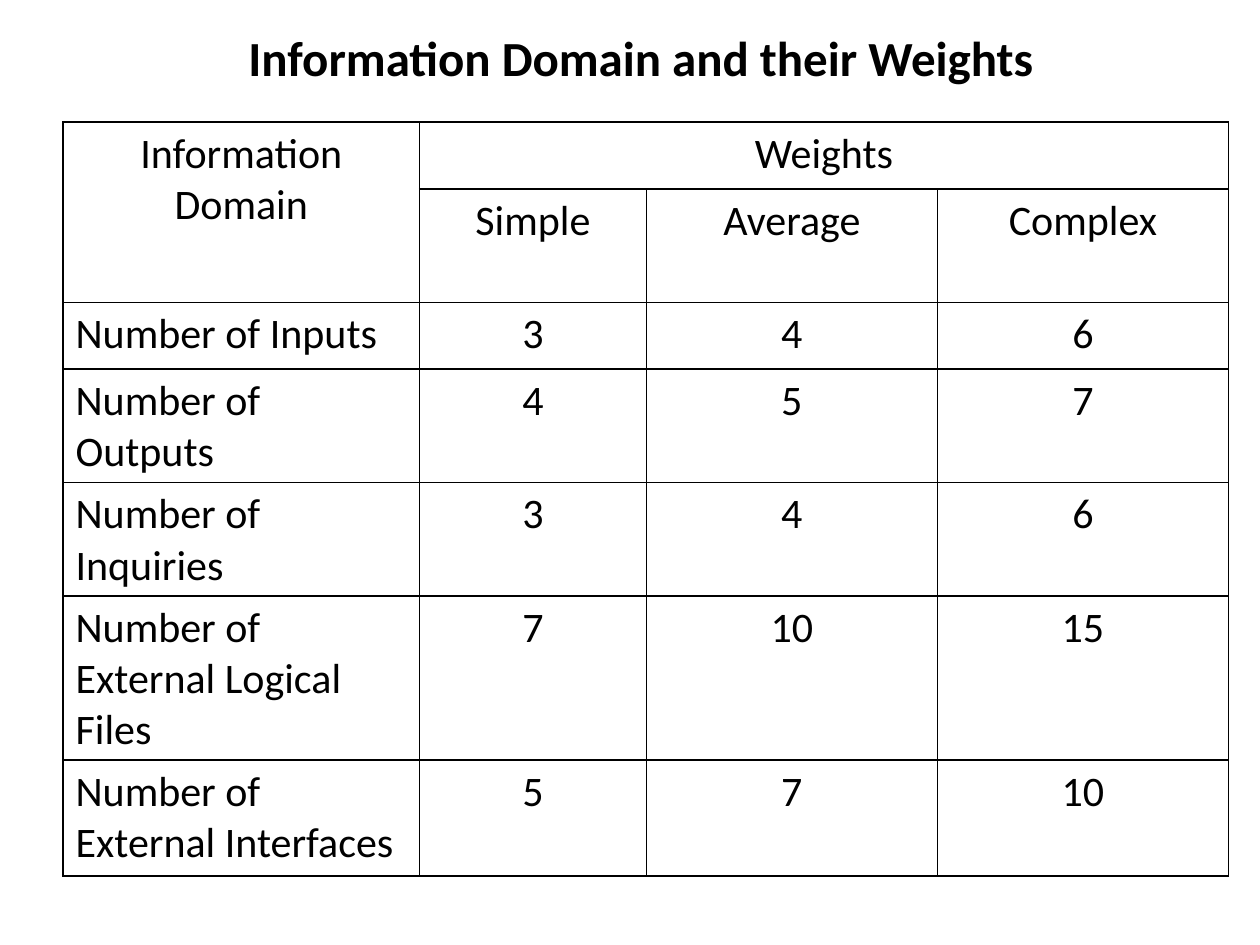
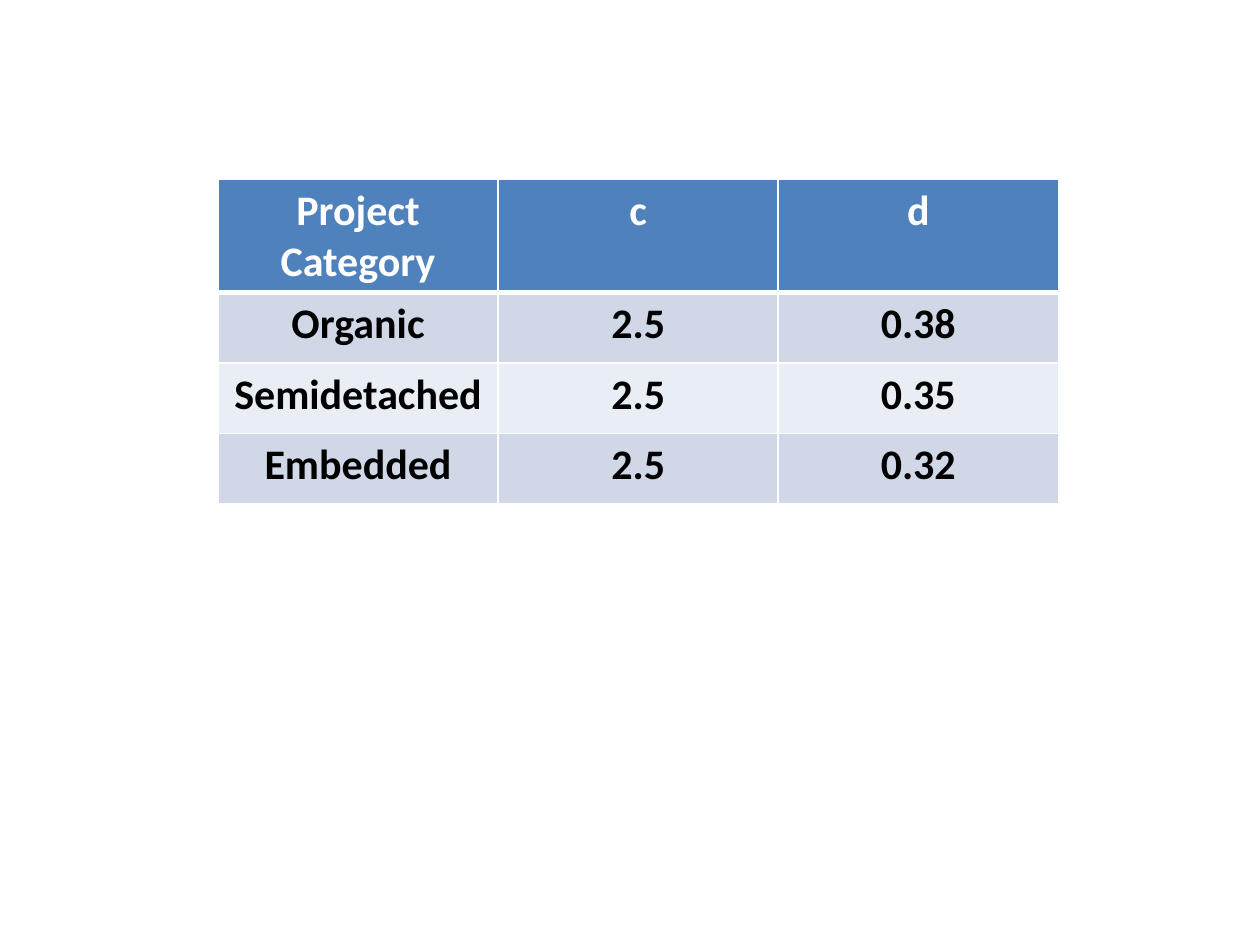
from lxml import etree
from pptx import Presentation
from pptx import util as u
from pptx.dml.color import RGBColor
from pptx.enum import text
from pptx.oxml import ns

FONT = "Calibri"
BLACK, WHITE = "000000", "FFFFFF"
HEADER_BLUE, BAND_DARK, BAND_LIGHT = "4F81BD", "D0D8E8", "E9EDF4"
TITLE_ONLY, BLANK = 5, 6

WEIGHT_ROWS = [
    ["Information Domain", "Weights", "", ""],
    ["", "Simple", "Average", "Complex"],
    ["Number of Inputs", "3", "4", "6"],
    ["Number of Outputs", "4", "5", "7"],
    ["Number of Inquiries", "3", "4", "6"],
    ["Number of External Logical Files", "7", "10", "15"],
    ["Number of External Interfaces", "5", "7", "10"],
]
CATEGORY_ROWS = [
    ["Project Category", "c", "d"],
    ["Organic", "2.5", "0.38"],
    ["Semidetached", "2.5", "0.35"],
    ["Embedded", "2.5", "0.32"],
]


def rgb(value):
    """Turn a hex string into a colour."""
    return RGBColor.from_string(value)


def write(frame, content, size=24, color=BLACK, bold=False, centred=True):
    """Put one formatted paragraph into a text frame."""
    paragraph = frame.paragraphs[0]
    paragraph.alignment = text.PP_ALIGN.CENTER if centred else text.PP_ALIGN.LEFT
    run = paragraph.add_run()
    run.text = content
    run.font.name = FONT
    run.font.size = u.Pt(size)
    run.font.bold = bold
    run.font.color.rgb = rgb(color)


def set_borders(cell, color, bottom=1):
    """Draw 1 pt borders around a cell, with its own bottom width."""
    properties = cell._tc.get_or_add_tcPr()
    for side, width in (("L", 1), ("R", 1), ("T", 1), ("B", bottom)):
        line = etree.SubElement(properties, ns.qn(f"a:ln{side}"), w=str(u.Pt(width)))
        fill = etree.SubElement(line, ns.qn("a:solidFill"))
        etree.SubElement(fill, ns.qn("a:srgbClr"), val=color)


def add_grid(slide, box, widths, heights):
    """Add an unstyled table with the given column widths and row heights."""
    frame = slide.shapes.add_table(len(heights), len(widths), *map(u.Inches, box))
    table = frame.table
    table.first_row = table.horz_banding = False
    for column, width in zip(table.columns, widths):
        column.width = u.Inches(width)
    for row, height in zip(table.rows, heights):
        row.height = u.Inches(height)
    frame.height = u.Inches(box[3])
    return table


def add_title(slide, box, content):
    """Place and fill the title placeholder."""
    title = slide.shapes.title
    title.left, title.top, title.width, title.height = map(u.Inches, box)
    frame = title.text_frame
    frame.word_wrap = True
    frame.auto_size = text.MSO_AUTO_SIZE.SHAPE_TO_FIT_TEXT
    frame.vertical_anchor = text.MSO_ANCHOR.TOP
    write(frame, content, size=28, bold=True)


def add_weights_table(slide, box):
    """Add the ruled table with its two merged heading cells."""
    heights = [0.53] * 5 + [0.92] * 2
    table = add_grid(slide, box, [2.83, 1.8, 2.31, 2.31], heights)
    for row, values in enumerate(WEIGHT_ROWS):
        for column, value in enumerate(values):
            cell = table.cell(row, column)
            set_borders(cell, BLACK)
            cell.fill.background()
            if value:
                write(cell.text_frame, value, centred=row < 2 or column > 0)
    table.cell(0, 0).merge(table.cell(1, 0))
    table.cell(0, 1).merge(table.cell(0, 3))


def add_category_table(slide, box):
    """Add the banded table of project categories."""
    table = add_grid(slide, box, [box[2] / 3] * 3, [0.55] + [0.56] * 3)
    for row, values in enumerate(CATEGORY_ROWS):
        header = row == 0
        band = HEADER_BLUE if header else (BAND_LIGHT, BAND_DARK)[row % 2]
        for column, value in enumerate(values):
            cell = table.cell(row, column)
            set_borders(cell, WHITE, bottom=3 if header else 1)
            cell.fill.solid()
            cell.fill.fore_color.rgb = rgb(band)
            write(cell.text_frame, value, bold=True, color=WHITE if header else BLACK)


def add_slide(presentation, layout):
    """Add a white slide with the given layout."""
    slide = presentation.slides.add_slide(presentation.slide_layouts[layout])
    slide.background.fill.solid()
    slide.background.fill.fore_color.rgb = rgb(WHITE)
    return slide


def main():
    """Build and save both slides."""
    presentation = Presentation()
    presentation.slide_width, presentation.slide_height = u.Inches(10), u.Inches(7.5)

    weights = add_slide(presentation, TITLE_ONLY)
    add_weights_table(weights, (0.5, 0.97, 9.25, 5.61))
    add_title(weights, (1.67, 0.17, 6.83, 0.57), "Information Domain and their Weights")

    categories = add_slide(presentation, BLANK)
    add_category_table(categories, (1.73, 1.42, 6.67, 2.58))

    presentation.save("out.pptx")


main()
